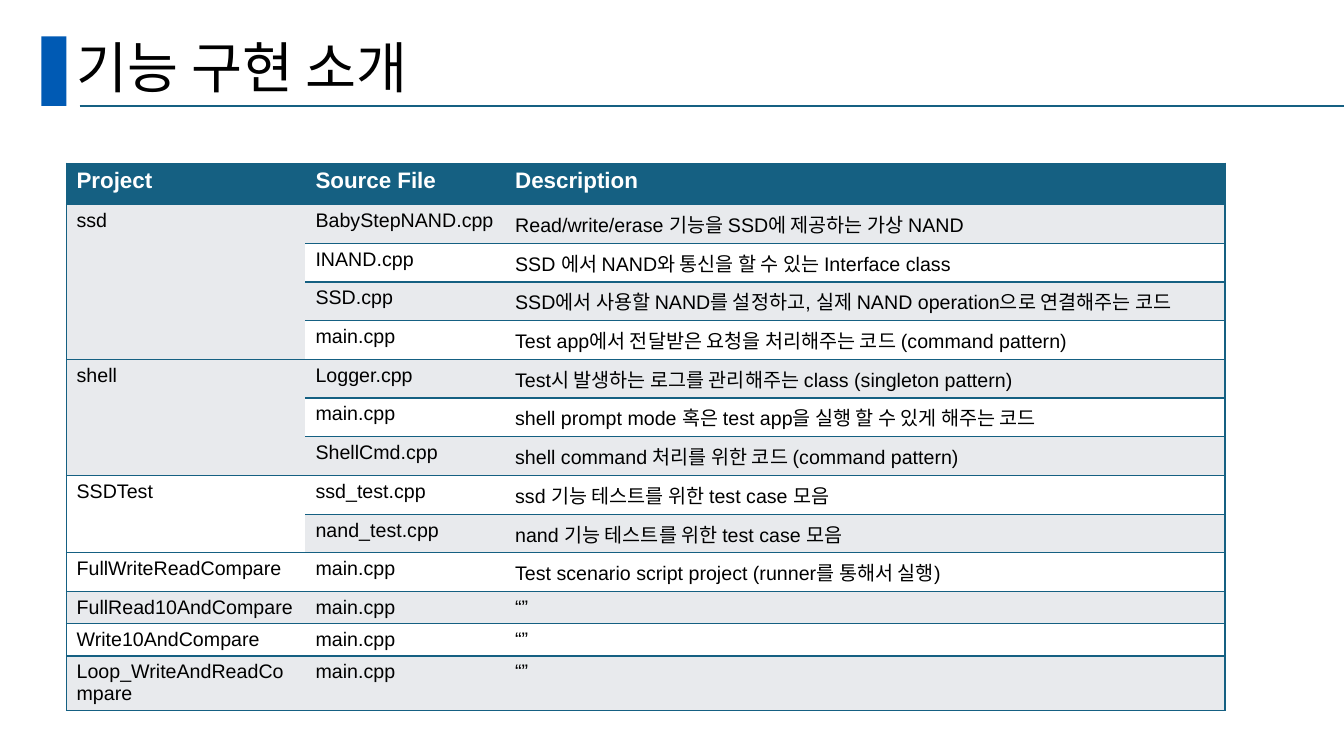
from lxml import etree
from pptx import Presentation
from pptx.dml.color import RGBColor
from pptx.enum.shapes import MSO_CONNECTOR, MSO_SHAPE
from pptx.enum.text import MSO_ANCHOR, PP_ALIGN
from pptx.oxml.ns import qn
from pptx.util import Inches, Pt

RECT = MSO_SHAPE.RECTANGLE
STRAIGHT = MSO_CONNECTOR.STRAIGHT
MIDDLE = MSO_ANCHOR.MIDDLE
LEFT = PP_ALIGN.LEFT
LATIN, HANGUL = "Arial", "Noto Sans CJK KR"
COLORS = {"blue": "005AB4", "teal": "156082", "gray": "E8EAED",
          "white": "FFFFFF", "black": "000000"}

HEADS = ("Project", "Source File", "Description")
# Each project with its source files and their descriptions
PROJECTS = [
    ("ssd", [
        ("BabyStepNAND.cpp", "Read/write/erase 기능을 SSD에 제공하는 가상 NAND"),
        ("INAND.cpp", "SSD 에서 NAND와 통신을 할 수 있는 Interface class"),
        ("SSD.cpp", "SSD에서 사용할 NAND를 설정하고, 실제 NAND operation으로 연결해주는 코드"),
        ("main.cpp", "Test app에서 전달받은 요청을 처리해주는 코드 (command pattern)")]),
    ("shell", [
        ("Logger.cpp", "Test시 발생하는 로그를 관리해주는 class (singleton pattern)"),
        ("main.cpp", "shell prompt mode 혹은 test app을 실행 할 수 있게 해주는 코드"),
        ("ShellCmd.cpp", "shell command 처리를 위한 코드 (command pattern)")]),
    ("SSDTest", [
        ("ssd_test.cpp", "ssd 기능 테스트를 위한 test case 모음"),
        ("nand_test.cpp", "nand 기능 테스트를 위한 test case 모음")]),
    ("FullWriteReadCompare", [
        ("main.cpp", "Test scenario script project (runner를 통해서 실행)")]),
    ("FullRead10AndCompare", [("main.cpp", "“”")]),
    ("Write10AndCompare", [("main.cpp", "“”")]),
    ("Loop_WriteAndReadCompare", [("main.cpp", "“”")]),
]
WIDTHS = (2.37, 1.98, 7.14)
HEIGHTS = [0.41] + [0.38] * 10 + [0.32] * 2 + [0.54]


def rgb(name):
    return RGBColor.from_string(COLORS[name])


def add_run(para, text, size, color, font=LATIN, bold=False):
    run = para.add_run()
    run.text = text
    run.font.size = Pt(size)
    run.font.bold = bold
    run.font.name = font
    run.font.color.rgb = rgb(color)
    east = etree.SubElement(run.font._element, qn("a:ea"))
    east.set("typeface", HANGUL)


def add_title(slide, text):
    title = slide.shapes.title
    title.left, title.top = Inches(0.66), Inches(0.34)
    title.width, title.height = Inches(11.5), Inches(0.71)
    frame = title.text_frame
    frame.vertical_anchor = MIDDLE
    frame.word_wrap = True
    para = frame.paragraphs[0]
    para.alignment = LEFT
    para.line_spacing = 0.9
    add_run(para, text, 39.6, "black", HANGUL)


def add_block(slide, left, top, width, height, color):
    block = slide.shapes.add_shape(
        RECT, Inches(left), Inches(top), Inches(width), Inches(height))
    block.shadow.inherit = False
    block.fill.solid()
    block.fill.fore_color.rgb = rgb(color)
    block.line.fill.background()


def add_rule(slide, left, right, top, color):
    rule = slide.shapes.add_connector(
        STRAIGHT, Inches(left), Inches(top), Inches(right), Inches(top))
    rule.line.color.rgb = rgb(color)
    rule.line.width = Pt(1.5)
    etree.SubElement(rule._element.spPr, qn("a:effectLst"))


def set_edges(cell, shown):
    props = cell._tc.get_or_add_tcPr()
    for side in "LRTB":
        edge = etree.SubElement(props, qn("a:ln" + side), w=str(Pt(1)))
        if side in shown:
            fill = etree.SubElement(edge, qn("a:solidFill"))
            etree.SubElement(fill, qn("a:srgbClr"), val=COLORS["teal"])
        else:
            etree.SubElement(edge, qn("a:noFill"))


def fill_cell(cell, text, col, fill, head=False):
    set_edges(cell, ("LTB", "TB", "RTB")[col])
    cell.fill.solid()
    cell.fill.fore_color.rgb = rgb(fill)
    size, color = (16, "white") if head else (14, "black")
    add_run(cell.text_frame.paragraphs[0], text, size, color, bold=head)


def add_grid(slide):
    frame = slide.shapes.add_table(
        len(HEIGHTS), len(WIDTHS), Inches(0.66), Inches(1.62),
        Inches(sum(WIDTHS)), Inches(sum(HEIGHTS)))
    table = frame.table
    table.horz_banding = False
    for col, width in zip(table.columns, WIDTHS):
        col.width = Inches(width)
    for row, height in zip(table.rows, HEIGHTS):
        row.height = Inches(height)

    # Header row
    for col, head in enumerate(HEADS):
        fill_cell(table.cell(0, col), head, col, "teal", head=True)

    # One merged project cell beside its files
    top = 1
    for project, files in PROJECTS:
        for row, texts in enumerate(files, top):
            band = "gray" if row % 2 else "white"
            for col, text in enumerate(texts, 1):
                fill_cell(table.cell(row, col), text, col, band)
            if row > top:
                set_edges(table.cell(row, 0), "L")
        first = table.cell(top, 0)
        fill_cell(first, project, 0, "gray" if top % 2 else "white")
        if len(files) > 1:
            first.merge(table.cell(top + len(files) - 1, 0))
        top += len(files)


def main():
    deck = Presentation()
    deck.slide_width, deck.slide_height = Inches(13.33), Inches(7.5)
    slide = deck.slides.add_slide(deck.slide_layouts[5])
    # Heading
    add_block(slide, 0.41, 0.36, 0.25, 0.69, "blue")
    add_rule(slide, 0.79, 13.33, 1.05, "teal")
    add_title(slide, "기능 구현 소개")
    # Table
    add_grid(slide)
    deck.save("out.pptx")


if __name__ == "__main__":
    main()
